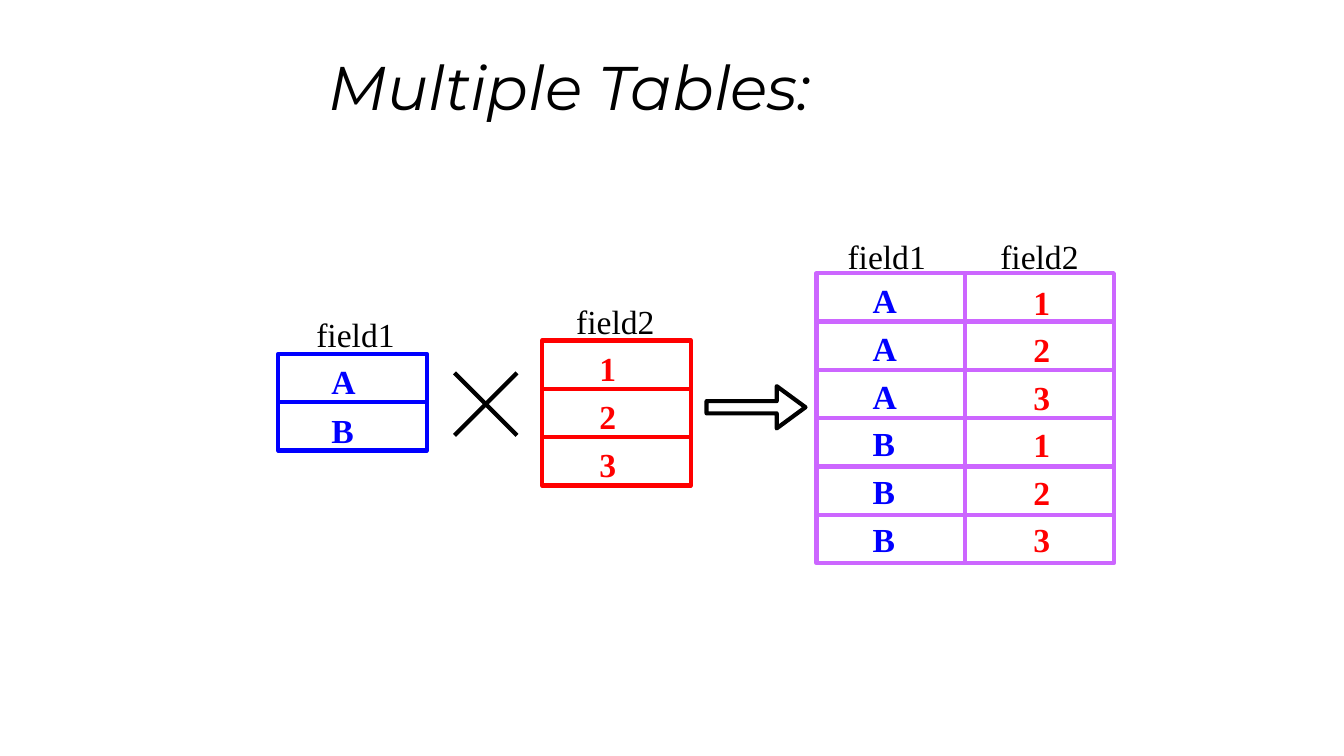
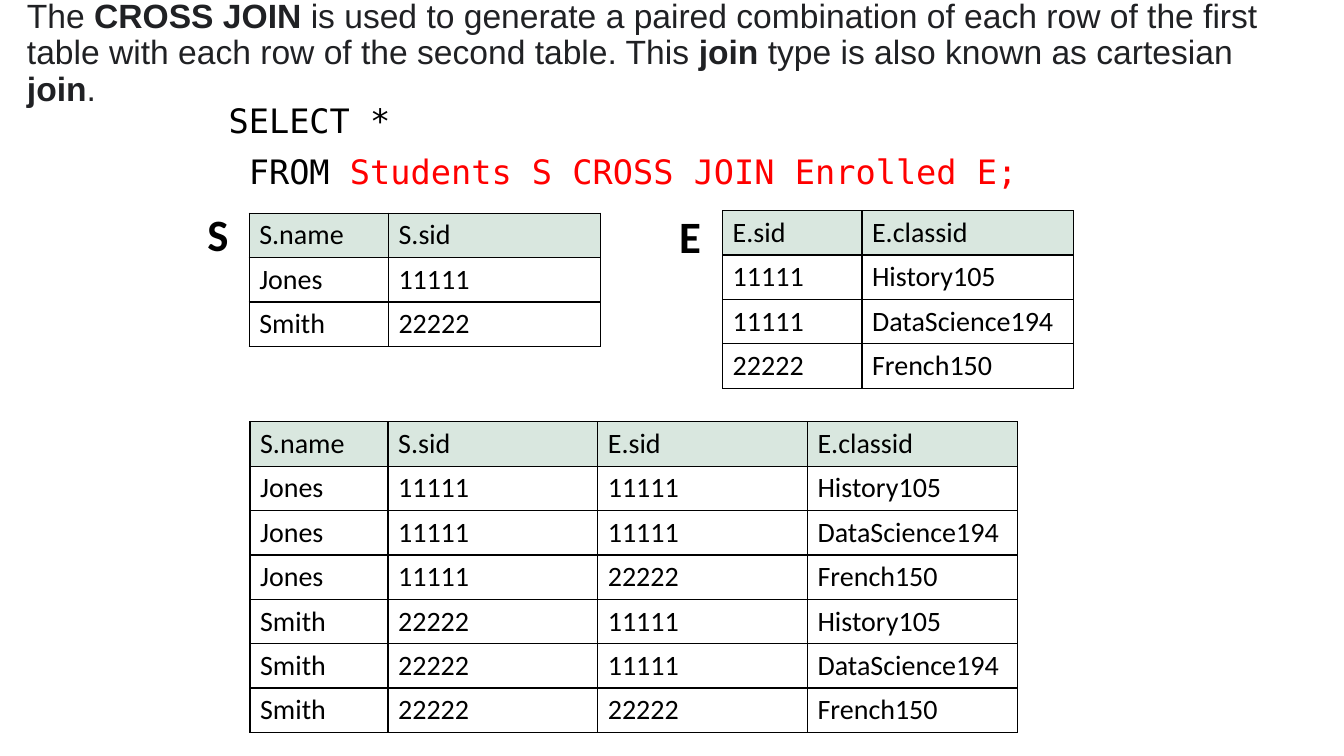
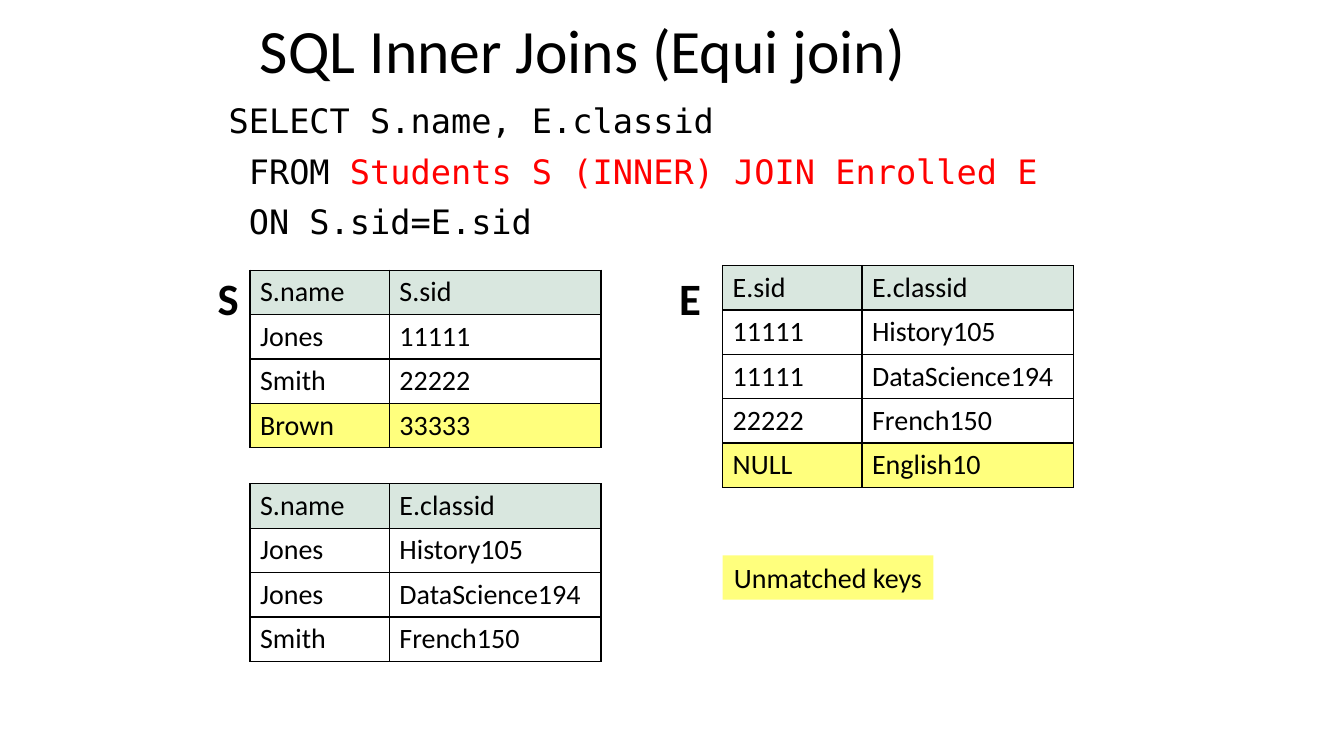
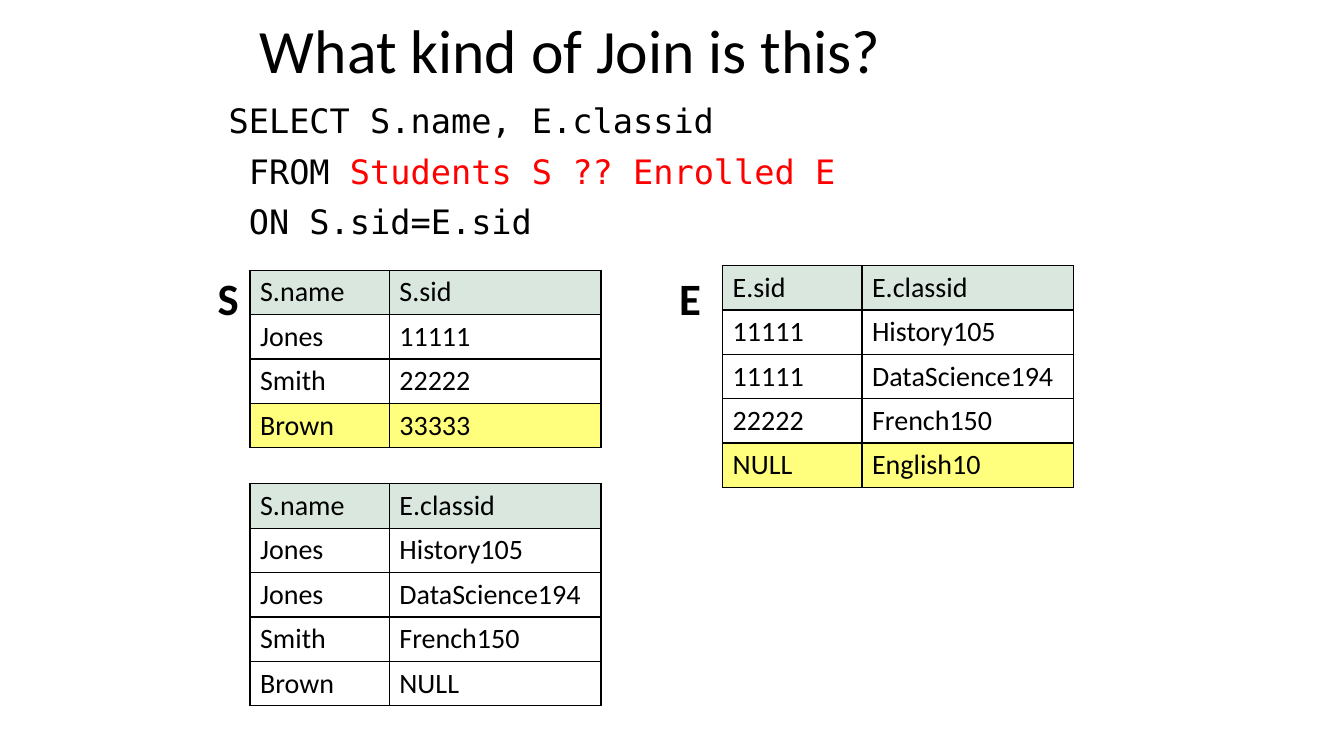
from dataclasses import dataclass

from lxml.etree import SubElement
from pptx import Presentation
from pptx.dml.color import RGBColor
from pptx.enum.shapes import MSO_CONNECTOR, MSO_SHAPE
from pptx.enum.text import MSO_ANCHOR, MSO_AUTO_SIZE
from pptx.oxml.ns import qn
from pptx.util import Pt


@dataclass(frozen=True)
class Theme:
    """Colours, fonts, type sizes and line widths of the deck."""

    black: str = "000000"
    white: str = "FFFFFF"
    ink: str = "202124"
    red: str = "FF0000"
    blue: str = "0000FF"
    violet: str = "CC66FF"
    header: str = "D9E7DF"
    unmatched: str = "FFFF7D"
    body_font: str = "Calibri"
    code_font: str = "DejaVu Sans Mono"
    prose_font: str = "Arial"
    diagram_font: str = "Times New Roman"
    display_font: str = "Montserrat"
    title_size: int = 44
    label_size: int = 32
    text_size: int = 24
    table_size: int = 20
    diagram_line: int = 3
    table_line: int = 1


THEME = Theme()
ROW_HEIGHT = 31.7
GRID_ROW = 34.56
GRID_COLUMN = 106.2
PAIR_COLUMNS = (99.5, 151.2)
TITLE_BOX = (178.6, 5.8, 610.6, 65.5)
ENROLLED = [("E.sid", "E.classid"), ("11111", "History105"),
            ("11111", "DataScience194"), ("22222", "French150")]
STUDENTS = [("S.name", "S.sid"), ("Jones", "11111"), ("Smith", "22222")]
MATCHES = [("S.name", "E.classid"), ("Jones", "History105"),
           ("Jones", "DataScience194"), ("Smith", "French150")]


def rgb(color):
    """Turn a hex string into a colour."""
    return RGBColor.from_string(color)


def add_span(para, text, size, font, color=THEME.black, bold=False, italic=False):
    """Append one formatted run to a paragraph."""
    span = para.add_run()
    span.text = text
    span.font.size = Pt(size)
    span.font.name = font
    span.font.bold = bold
    span.font.italic = italic
    span.font.color.rgb = rgb(color)


def add_text(shapes, left, top, width, height, wrap=True):
    """Add a text box and return its frame."""
    frame = shapes.add_textbox(Pt(left), Pt(top), Pt(width), Pt(height)).text_frame
    frame.word_wrap = wrap
    return frame


def add_title(page, box, spans, size, font, italic=False):
    """Place a middle-anchored title made of (text, colour, bold) spans."""
    frame = add_text(page.shapes, *box)
    frame.vertical_anchor = MSO_ANCHOR.MIDDLE
    para = frame.paragraphs[0]
    para.line_spacing = 0.9
    for text, color, bold in spans:
        add_span(para, text, size, font, color, bold, italic)


def add_label(shapes, left, top, text, width=80, size=THEME.text_size,
              font=THEME.diagram_font, color=THEME.black, bold=False, wrap=True):
    """Place a one-line label."""
    frame = add_text(shapes, left, top, width, size * 1.3, wrap)
    add_span(frame.paragraphs[0], text, size, font, color, bold)


def add_shape(shapes, preset, left, top, width, height, fill=None, line=None):
    """Add a flat preset shape with optional fill and outline."""
    shape = shapes.add_shape(preset, Pt(left), Pt(top), Pt(width), Pt(height))
    shape.shadow.inherit = False
    if fill:
        shape.fill.solid()
        shape.fill.fore_color.rgb = rgb(fill)
    else:
        shape.fill.background()
    if line:
        shape.line.color.rgb = rgb(line)
        shape.line.width = Pt(THEME.diagram_line)
    else:
        shape.line.fill.background()
    return shape


def add_line(shapes, start, end, color):
    """Draw a flat straight connector."""
    ends = [Pt(value) for value in (*start, *end)]
    line = shapes.add_connector(MSO_CONNECTOR.STRAIGHT, *ends)
    line.line.color.rgb = rgb(color)
    line.line.width = Pt(THEME.diagram_line)
    SubElement(line._element.spPr, qn("a:effectLst"))
    return line


def add_grid_column(shapes, left, top, color, starts):
    """Draw two-row frames, each divided by a line joined to its sides."""
    for start in starts:
        frame_top = top + start * GRID_ROW
        frame = add_shape(shapes, MSO_SHAPE.RECTANGLE, left, frame_top,
                          GRID_COLUMN, 2 * GRID_ROW, line=color)
        middle = frame_top + GRID_ROW
        divider = add_line(shapes, (left, middle), (left + GRID_COLUMN, middle), color)
        divider.begin_connect(frame, 1)
        divider.end_connect(frame, 3)


def add_values(shapes, left, top, values, color, pitch=34.1):
    """Stack bold values at an even pitch."""
    for index, value in enumerate(values):
        add_label(shapes, left, top + index * pitch, value, 64, color=color, bold=True)


def add_source_column(page, left, top, name, name_indent, values, value_indent,
                      color, pitch):
    """Draw a one-field table with its name above."""
    shapes = page.shapes.add_group_shape().shapes
    add_grid_column(shapes, left, top, color, range(0, len(values) - 1))
    add_label(shapes, left + name_indent, top - 31.7, name)
    add_values(shapes, left + value_indent, top + 1.8, values, color, pitch)


def add_product(page, left, top):
    """Draw the two-field table that pairs every letter with every number."""
    shapes = page.shapes.add_group_shape().shapes
    right = left + GRID_COLUMN
    for column in (left, right):
        add_grid_column(shapes, column, top, THEME.violet, range(0, 6, 2))
    add_label(shapes, left + 15.1, top - 30.2, "field1")
    add_label(shapes, right + 18, top - 30.2, "field2")
    add_values(shapes, left + 33.1, top + 1.4, "AAABBB", THEME.blue)
    add_values(shapes, right + 41.6, top + 2.6, "123123", THEME.red, 33.9)


def add_cross(page, left, top, side):
    """Draw the multiplication sign."""
    shapes = page.shapes.add_group_shape().shapes
    right, bottom = left + side, top + side
    add_line(shapes, (left, top), (right, bottom), THEME.black)
    add_line(shapes, (left, bottom), (right, top), THEME.black)


def set_borders(cell):
    """Give a cell a thin black border on every side."""
    properties = cell._tc.get_or_add_tcPr()
    for side in ("a:lnL", "a:lnR", "a:lnT", "a:lnB"):
        line = SubElement(properties, qn(side), w=str(Pt(THEME.table_line)))
        fill = SubElement(line, qn("a:solidFill"))
        SubElement(fill, qn("a:srgbClr"), val=THEME.black)


def add_data_table(page, left, top, rows, columns=PAIR_COLUMNS, unmatched=None):
    """Place a bordered table with a tinted header and an optional unmatched row."""
    rows = rows + [unmatched] if unmatched else rows
    table = page.shapes.add_table(len(rows), len(columns), Pt(left), Pt(top),
                                  Pt(sum(columns)), Pt(ROW_HEIGHT * len(rows))).table
    table.first_row = False
    table.horz_banding = False
    for column, width in zip(table.columns, columns):
        column.width = Pt(width)
    for row_index, values in enumerate(rows):
        table.rows[row_index].height = Pt(ROW_HEIGHT)
        fill = THEME.header if row_index == 0 else None
        if values is unmatched:
            fill = THEME.unmatched
        for column_index, value in enumerate(values):
            cell = table.cell(row_index, column_index)
            set_borders(cell)
            if fill:
                cell.fill.solid()
                cell.fill.fore_color.rgb = rgb(fill)
            else:
                cell.fill.background()
            add_span(cell.text_frame.paragraphs[0], value, THEME.table_size, THEME.body_font)


def add_query(page, select, source, condition=None):
    """Write the SQL statement with its source in red."""
    lines = [[(select, THEME.black)], [(" FROM ", THEME.black), (source, THEME.red)]]
    if condition:
        lines.append([(condition, THEME.black)])
    frame = add_text(page.shapes, 156.2, 71.3, 661.7, 445.7)
    for index, spans in enumerate(lines):
        para = frame.add_paragraph() if index else frame.paragraphs[0]
        para.line_spacing = 0.9
        para.space_before = Pt(10)
        for text, color in spans:
            add_span(para, text, THEME.text_size, THEME.code_font, color)


def add_table_names(page, students, enrolled):
    """Put the letters S and E at the given corners."""
    for name, (left, top) in (("E", enrolled), ("S", students)):
        add_label(page.shapes, left, top, name, 30, THEME.label_size, THEME.body_font,
                  bold=True, wrap=False)


def add_legend(page, left, top, width, height):
    """Place the key to the unmatched rows."""
    key = add_shape(page.shapes, MSO_SHAPE.RECTANGLE, left, top, width, height,
                    fill=THEME.unmatched)
    frame = key.text_frame
    frame.word_wrap = False
    frame.auto_size = MSO_AUTO_SIZE.SHAPE_TO_FIT_TEXT
    add_span(frame.paragraphs[0], "Unmatched keys", THEME.table_size, THEME.body_font)


def build_product_page(page):
    """Show how two one-field tables multiply."""
    add_title(page, (227.5, 19.4, 612, 90), [("Multiple Tables:", THEME.black, False)],
              THEME.title_size, THEME.display_font, italic=True)
    arrow = add_shape(page.shapes, MSO_SHAPE.RIGHT_ARROW, 504.7, 275.8, 70.6, 30.2,
                      THEME.white, THEME.black)
    arrow.adjustments[0] = 0.29
    arrow.adjustments[1] = 0.68
    add_cross(page, 324.7, 266.4, 44.6)
    add_source_column(page, 198.7, 252.7, "field1", 20.2, "AB", 31, THEME.blue, 35)
    add_source_column(page, 387.2, 243.2, "field2", 17.3, "123", 33.8, THEME.red, 34.2)
    add_product(page, 583.2, 195.1)


def build_cross_page(page):
    """Explain the cross join with its tables."""
    spans = [("The ", False), ("CROSS JOIN", True),
             (" is used to generate a paired combination of each row of the first table "
              "with each row of the second table. This ", False),
             ("join", True), (" type is also known as cartesian ", False),
             ("join", True), (".", False)]
    add_title(page, (12.2, 5.8, 910.8, 65.5),
              [(text, THEME.ink, bold) for text, bold in spans],
              THEME.text_size, THEME.prose_font)
    add_query(page, "SELECT *", "Students S CROSS JOIN Enrolled E;")
    add_data_table(page, 178, 152.3, STUDENTS)
    add_data_table(page, 516.2, 150.5, ENROLLED)
    pairs = [student + record for student in STUDENTS[1:] for record in ENROLLED[1:]]
    add_data_table(page, 178.6, 301.3, [STUDENTS[0] + ENROLLED[0]] + pairs,
                   (98.6, 149.8, 149.8, 149.8))
    add_table_names(page, (141.1, 144), (478.1, 145.4))


def build_join_page(page, title, source, result):
    """Show a join on sid with its unmatched rows and its result."""
    add_title(page, TITLE_BOX, [(title, THEME.black, False)],
              THEME.title_size, THEME.body_font)
    add_query(page, "SELECT S.name, E.classid", source, " ON S.sid=E.sid")
    add_data_table(page, 178.6, 193, STUDENTS, unmatched=("Brown", "33333"))
    add_data_table(page, 516.2, 189.7, ENROLLED, unmatched=("NULL", "English10"))
    add_data_table(page, 178.6, 345.6, result)
    add_table_names(page, (148.3, 190.1), (478.1, 190.1))


def main():
    """Build and save the deck."""
    deck = Presentation()
    deck.slide_width = Pt(960)
    deck.slide_height = Pt(540)
    product, cross, inner, question = [
        deck.slides.add_slide(deck.slide_layouts[6]) for _ in range(4)]
    build_product_page(product)
    build_cross_page(cross)
    build_join_page(inner, "SQL Inner Joins (Equi join)",
                    "Students S (INNER) JOIN Enrolled E", MATCHES)
    add_legend(inner, 516.2, 396.7, 150.5, 31.7)
    build_join_page(question, "What kind of Join is this?", "Students S ?? Enrolled E",
                    MATCHES + [("Brown", "NULL")])
    deck.save("out.pptx")


if __name__ == "__main__":
    main()
